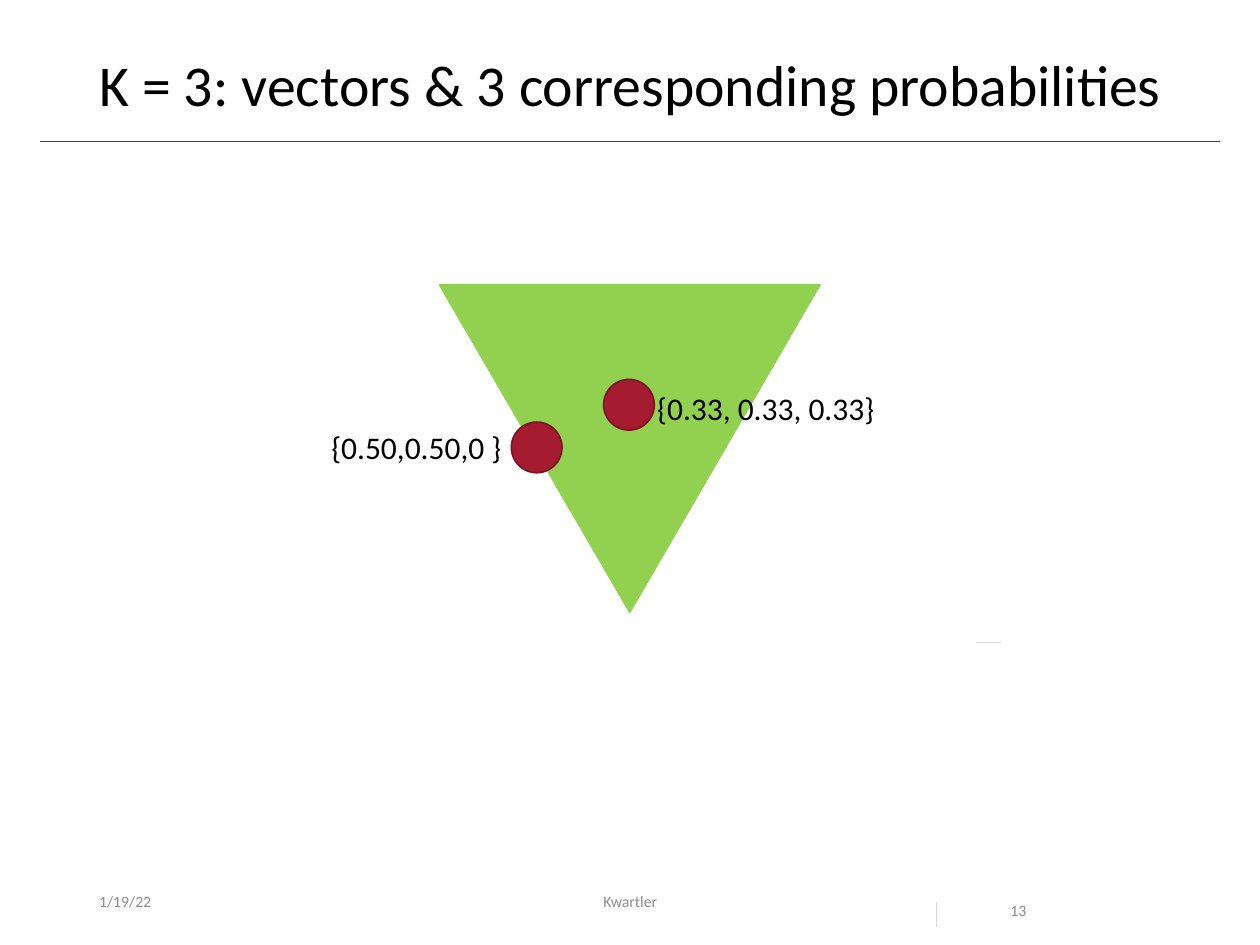
from dataclasses import dataclass

from lxml import etree
from pptx import Presentation
from pptx.dml.color import RGBColor
from pptx.enum.shapes import MSO_CONNECTOR, MSO_SHAPE
from pptx.enum.text import MSO_ANCHOR, PP_ALIGN
from pptx.oxml.ns import qn
from pptx.util import Cm, Pt


@dataclass(frozen=True)
class Theme:
    font: str = "Calibri"
    ink: str = "000000"
    muted: str = "8C8C8C"
    rule: str = "404040"
    tick: str = "D9D9D9"
    triangle: str = "92D050"
    dot: str = "A51C30"
    dot_edge: str = "7A1524"
    title_size: float = 33
    label_size: float = 18
    footer_size: float = 9
    hairline: float = 0.5
    outline: float = 1


THEME = Theme()


def rgb(value):
    return RGBColor.from_string(value)


# Basic parts; boxes are left, top, width, height in centimetres
def add_text(slide, box, text, size, color, align=PP_ALIGN.LEFT,
             anchor=MSO_ANCHOR.TOP, wrap=False, spacing=None):
    frame = slide.shapes.add_textbox(*map(Cm, box)).text_frame
    frame.word_wrap = wrap
    frame.vertical_anchor = anchor
    paragraph = frame.paragraphs[0]
    paragraph.alignment = align
    if spacing:
        paragraph.line_spacing = spacing
    run = paragraph.add_run()
    run.text = text
    run.font.name = THEME.font
    run.font.size = Pt(size)
    run.font.color.rgb = rgb(color)


def add_shape(slide, kind, box, fill, edge):
    shape = slide.shapes.add_shape(kind, *map(Cm, box))
    shape.shadow.inherit = False
    shape.fill.solid()
    shape.fill.fore_color.rgb = rgb(fill)
    shape.line.color.rgb = rgb(edge)
    shape.line.width = Pt(THEME.outline)
    return shape


def add_line(slide, x1, y1, x2, y2, color):
    line = slide.shapes.add_connector(MSO_CONNECTOR.STRAIGHT, *map(Cm, (x1, y1, x2, y2)))
    line.line.color.rgb = rgb(color)
    line.line.width = Pt(THEME.hairline)
    etree.SubElement(line._element.spPr, qn("a:effectLst"))


# Title with the rule below it
def add_header(slide, box, title):
    left, top, width, height = box
    add_line(slide, left, top + height, left + width, top + height, THEME.rule)
    add_text(slide, (left + 0.94, top, 22.17, 1.52), title,
             THEME.title_size, THEME.ink, spacing=0.9)


# Date, author and page number
def add_footer(slide, box, date, author, page):
    left, top, width, height = box
    style = dict(size=THEME.footer_size, color=THEME.muted, wrap=True)
    add_text(slide, (left, top, 5.72, height), date, anchor=MSO_ANCHOR.MIDDLE, **style)
    add_text(slide, (left + 6.66, top, 8.59, height), author,
             align=PP_ALIGN.CENTER, anchor=MSO_ANCHOR.MIDDLE, **style)
    add_text(slide, (left + width - 2.39, top, 2.39, height), page, spacing=2.0, **style)


# Probability triangle with labelled points
def add_simplex(slide, box, points):
    left, top = box[:2]
    triangle = add_shape(slide, MSO_SHAPE.ISOSCELES_TRIANGLE, box,
                         THEME.triangle, THEME.triangle)
    triangle.rotation = 180
    diameter = 1.02
    for text, (x, y, width), _ in points:
        add_text(slide, (left + x, top + y, width, diameter), text,
                 THEME.label_size, THEME.ink)
    for _, _, (x, y) in points:
        add_shape(slide, MSO_SHAPE.OVAL, (left + x, top + y, diameter, diameter),
                  THEME.dot, THEME.dot_edge)


# Short grey marks at the lower right
def add_ticks(slide, box):
    left, top, width, height = box
    length = 0.5
    add_line(slide, left, top + height - length, left, top + height, THEME.tick)
    add_line(slide, left + width - length, top, left + width, top, THEME.tick)


def main():
    prs = Presentation()
    prs.slide_width, prs.slide_height = Cm(25.4), Cm(19.05)
    slide = prs.slides.add_slide(prs.slide_layouts[6])

    add_header(slide, (0.81, 1.02, 23.78, 1.83),
               "K = 3: vectors & 3 corresponding probabilities")
    add_footer(slide, (1.75, 17.65, 20.76, 1.02), "1/19/22", "Kwartler", "13")
    # Text, label left/top/width, dot left/top
    add_simplex(slide, (8.86, 5.74, 7.67, 6.6), [
        ("{0.50,0.50,0 }", (-2.43, 2.77, 3.99), (1.45, 2.77)),
        ("{0.33, 0.33, 0.33}", (4.14, 1.98, 4.93), (3.31, 1.91)),
    ])
    add_ticks(slide, (18.87, 12.95, 1.3, 5.74))

    prs.save("out.pptx")


main()
